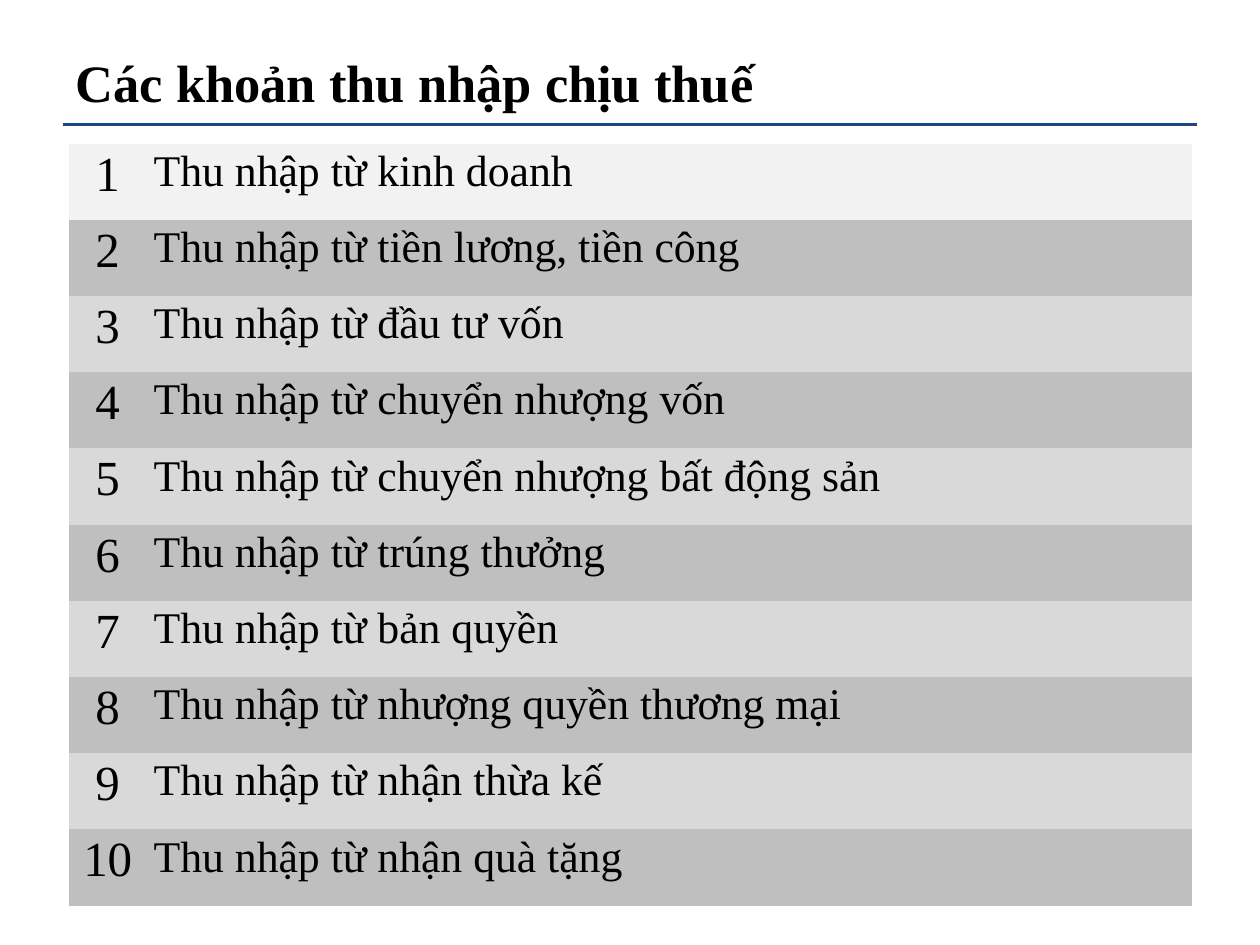
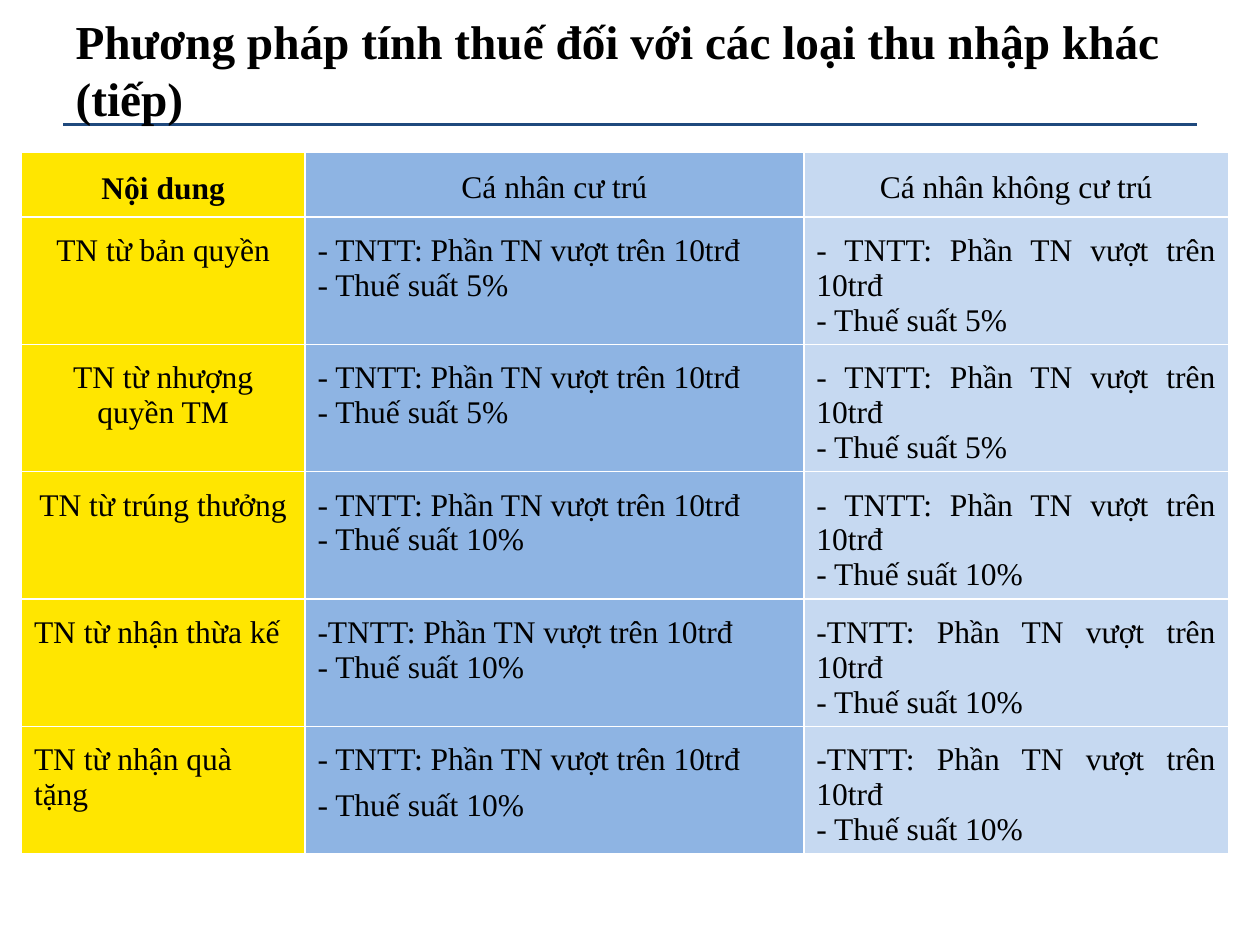
from dataclasses import dataclass

from lxml import etree
from pptx import Presentation
from pptx.dml.color import RGBColor
from pptx.enum import shapes, text
from pptx.oxml.ns import qn
from pptx.util import Inches, Pt

LEFT, MID, FULL = text.PP_ALIGN.LEFT, text.PP_ALIGN.CENTER, text.PP_ALIGN.JUSTIFY
PLAIN = "{2D5ABB26-0587-4C30-8999-92F81FD0307C}"


@dataclass(frozen=True)
class Theme:
    font: str = "Times New Roman"
    ink: str = "000000"
    rule: str = "1F497D"
    edge: str = "FFFFFF"
    first: str = "F2F2F2"
    bands: tuple = ("D9D9D9", "BFBFBF")
    cols: tuple = ("FFE600", "8EB4E3", "C6D9F1")
    number: int = 28
    item: int = 25
    body: int = 18


THEME = Theme()

INCOMES = (
    "kinh doanh", "tiền lương, tiền công", "đầu tư vốn",
    "chuyển nhượng vốn", "chuyển nhượng bất động sản", "trúng thưởng",
    "bản quyền", "nhượng quyền thương mại", "nhận thừa kế", "nhận quà tặng",
)
HEADS = ("Nội dung", "Cá nhân cư trú", "Cá nhân không cư trú")
BASE = "TNTT: Phần TN vượt trên 10trđ"
# Income, its alignment, tax rate, dash for residents, dash for others
RATES = (
    ("bản quyền", MID, 5, "- ", "- "),
    ("nhượng quyền TM", MID, 5, "- ", "- "),
    ("trúng thưởng", MID, 10, "- ", "- "),
    ("nhận thừa kế", LEFT, 10, "-", "-"),
    ("nhận quà tặng", LEFT, 10, "- ", "-"),
)


def color(code):
    return RGBColor.from_string(code)


def style(para, size, align=LEFT, bold=False):
    para.alignment = align
    font = para.font
    font.name, font.size, font.bold = THEME.font, Pt(size), bold
    font.color.rgb = color(THEME.ink)


def add_rule(slide):
    """Put the line under the title on the layout that the slides share."""
    line = slide.shapes.add_connector(
        shapes.MSO_CONNECTOR.STRAIGHT,
        Inches(0.5), Inches(0.99), Inches(9.5), Inches(0.99))
    line.line.color.rgb = color(THEME.rule)
    line.line.width = Pt(1.5)
    props = line.element.find(qn("p:spPr"))
    etree.SubElement(props, qn("a:effectLst"))
    slide.slide_layout.shapes.element.append(line.element)


def add_title(slide, words, size, box):
    title = slide.shapes.title
    title.left, title.top, title.width, title.height = map(Inches, box)
    frame = title.text_frame
    frame.text = words
    frame.word_wrap = True
    frame.auto_size = text.MSO_AUTO_SIZE.NONE
    frame.vertical_anchor = text.MSO_ANCHOR.MIDDLE
    style(frame.paragraphs[0], size, bold=True)


def add_grid(slide, box, cols, rows):
    """Add an unstyled table; cols and rows are shares of the box."""
    left, top, width, height = map(Inches, box)
    frame = slide.shapes.add_table(len(rows), len(cols), left, top, width, height)
    for tag in frame.element.iter(qn("a:tableStyleId")):
        tag.text = PLAIN
    grid = frame.table
    grid.first_row = grid.horz_banding = False
    for col, share in zip(grid.columns, cols):
        col.width = int(width * share / sum(cols))
    for row, share in zip(grid.rows, rows):
        row.height = int(height * share / sum(rows))
    return grid


def fill_cell(cell, lines, fill, size, align=LEFT, bold=False, pad=(0.06, 0.03, 0.03)):
    """Write lines in a cell; pad holds the side, top and bottom margins."""
    side, top, low = map(Inches, pad)
    cell.margin_left = cell.margin_right = side
    cell.margin_top, cell.margin_bottom = top, low
    cell.fill.solid()
    cell.fill.fore_color.rgb = color(fill)
    cell.text = "\n".join(lines)
    for para in cell.text_frame.paragraphs:
        style(para, size, align, bold)


def add_edges(cell):
    props = cell._tc.get_or_add_tcPr()
    for spot, side in enumerate("LRTB"):
        edge = etree.Element(qn(f"a:ln{side}"), w=str(Pt(1)))
        fill = etree.SubElement(edge, qn("a:solidFill"))
        etree.SubElement(fill, qn("a:srgbClr"), val=THEME.edge)
        props.insert(spot, edge)


def add_incomes(slide, box):
    grid = add_grid(slide, box, (0.61, 7.54, 0.76), (1,) * len(INCOMES))
    for row, name in enumerate(INCOMES):
        fill = THEME.bands[row % 2] if row else THEME.first
        fill_cell(grid.cell(row, 0), [str(row + 1)], fill, THEME.number, MID)
        fill_cell(grid.cell(row, 1), [f"Thu nhập từ {name}"], fill, THEME.item)
        fill_cell(grid.cell(row, 2), [], fill, THEME.body)


def add_rates(slide, box):
    grid = add_grid(slide, box, (2.25, 3.96, 3.37), (0.51,) + (1,) * len(RATES))

    def put(row, col, lines, align, top, bold=False):
        cell = grid.cell(row, col)
        fill_cell(cell, lines, THEME.cols[col], THEME.body, align, bold, (0.1, top, 0.05))
        add_edges(cell)

    for col, head in enumerate(HEADS):
        put(0, col, [head], MID, 0.14 if col else 0.15, bold=not col)
    for row, (name, align, rate, *dashes) in enumerate(RATES, 1):
        put(row, 0, [f"TN từ {name}"], align, 0.13)
        for col, dash in enumerate(dashes, 1):
            put(row, col, [dash + BASE, f"- Thuế suất {rate}%"], FULL, 0.13)
    for para in grid.cell(len(RATES), 1).text_frame.paragraphs:
        para.space_after = Pt(6)


def main():
    deck = Presentation()
    deck.slide_width, deck.slide_height = Inches(10), Inches(7.5)
    layout = deck.slide_layouts.get_by_name("Title Only")

    slide = deck.slides.add_slide(layout)
    add_rule(slide)
    add_title(slide, "Các khoản thu nhập chịu thuế", 30, (0.5, 0.32, 9, 0.65))
    add_incomes(slide, (0.55, 1.14, 8.91, 6.05))

    slide = deck.slides.add_slide(layout)
    add_title(slide, "Phương pháp tính thuế đối với các loại thu nhập khác (tiếp)",
              27, (0.5, 0.17, 9, 0.76))
    add_rates(slide, (0.17, 1.21, 9.58, 5.53))

    deck.save("out.pptx")


if __name__ == "__main__":
    main()
